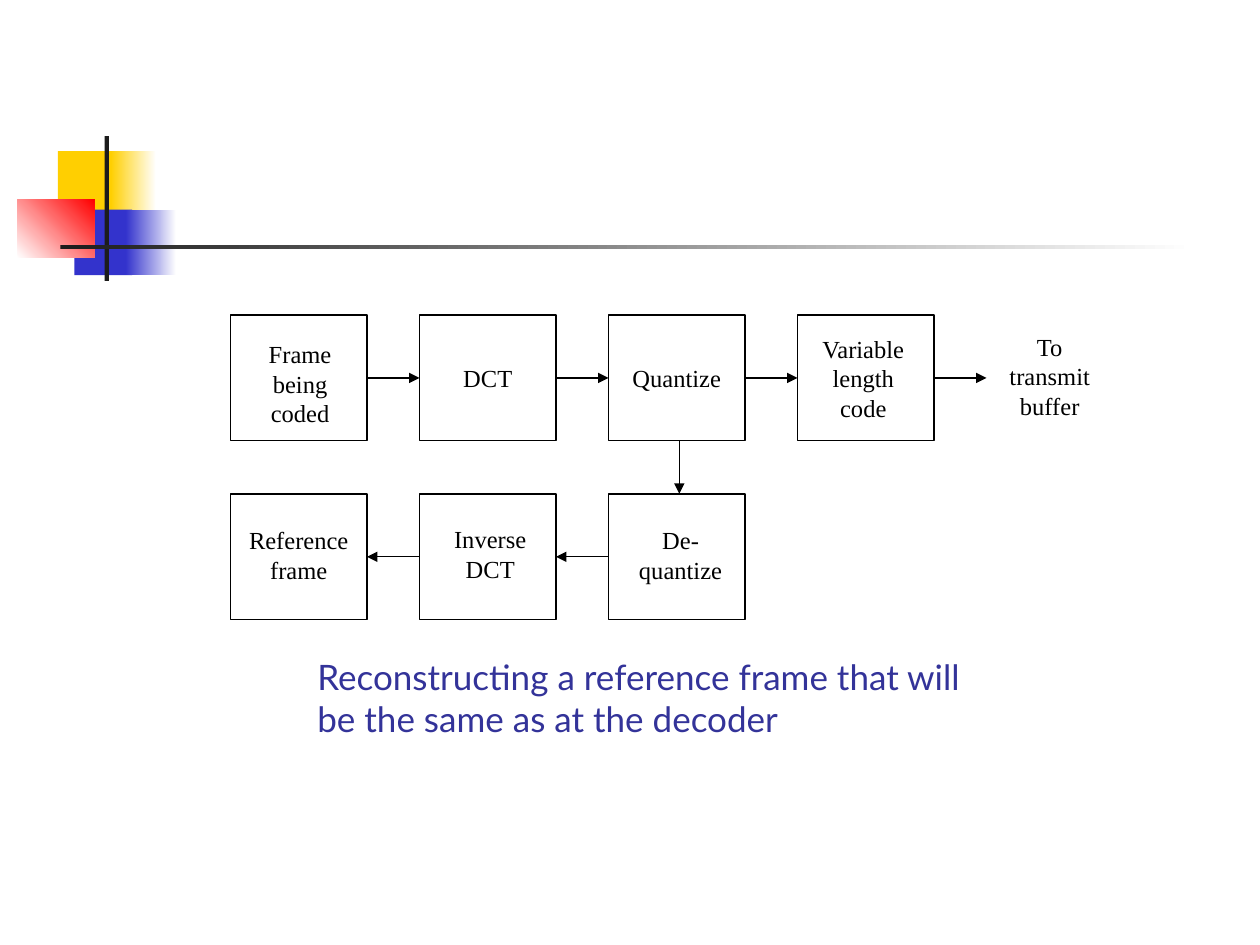
from pptx import Presentation
from pptx.dml.color import RGBColor
from pptx.enum.shapes import MSO_CONNECTOR as Link, MSO_SHAPE as Form
from pptx.enum.text import MSO_ANCHOR as Anchor, MSO_AUTO_SIZE as Fit, PP_ALIGN as Align
from pptx.oxml.ns import qn
from pptx.util import Inches, Pt
from lxml.etree import SubElement as sub

WHITE = RGBColor(0xFF, 0xFF, 0xFF)
BLACK = RGBColor(0, 0, 0)
INK = RGBColor(0x1C, 0x1C, 0x1C)
GOLD = RGBColor(0xFF, 0xCF, 0x01)
BLUE = RGBColor(0x33, 0x33, 0xCC)
RED = RGBColor(0xFF, 0, 0)
NAVY = RGBColor(0x33, 0x33, 0x99)


class Board:
    """Style and current slide; lengths are percent of the slide's size."""
    left, top = 18.3, 33.33
    wide, high = 10.83, 13.33
    step, drop = 15, 18.93
    font, size, rule = "Times New Roman", 14, 0.75

    def __init__(self, deck):
        self.deck = deck
        self.slide = deck.slides.add_slide(deck.slide_layouts[6])
        self.shapes = self.slide.shapes

    def scale(self, *nums):
        """Turn x, y, x, y ... percentages into lengths."""
        sides = (self.deck.slide_width, self.deck.slide_height)
        return [round(n * sides[i % 2] / 100) for i, n in enumerate(nums)]

    def mid(self, cell):
        """Centre of a (column, row) cell of the flow."""
        col, row = cell
        return (self.left + col * self.step + self.wide / 2,
                self.top + row * self.drop + self.high / 2)

    def rect(self, *area):
        shape = self.shapes.add_shape(Form.RECTANGLE, *self.scale(*area))
        shape.shadow.inherit = False
        return shape

    def block(self, area, color):
        shape = self.rect(*area)
        shape.fill.solid()
        shape.fill.fore_color.rgb = color
        shape.line.fill.background()

    def fade(self, area, start, end, angle=0):
        shape = self.rect(*area)
        shape.fill.gradient()
        shape.fill.gradient_angle = angle
        for stop, color in zip(shape.fill.gradient_stops, (start, end)):
            stop.color.rgb = color
        shape.line.fill.background()

    def box(self, cell):
        x, y = self.mid(cell)
        shape = self.rect(x - self.wide / 2, y - self.high / 2, self.wide, self.high)
        shape.fill.background()
        shape.line.color.rgb = BLACK
        shape.line.width = Pt(self.rule)

    def arrow(self, start, end, shift=0):
        """Link the facing edges of two cells."""
        (x1, y1), (x2, y2) = self.mid(start), self.mid(end)
        dx = (end[0] - start[0]) * self.wide / 2
        dy = (end[1] - start[1]) * self.high / 2
        ends = self.scale(x1 + dx + shift, y1 + dy, x2 - dx + shift, y2 - dy)
        line = self.shapes.add_connector(Link.STRAIGHT, *ends)
        line.line.color.rgb = BLACK
        line.line.width = Pt(self.rule)
        props = line._element.spPr
        sub(props.find(qn("a:ln")), qn("a:tailEnd"), type="triangle")
        sub(props, qn("a:effectLst"))

    def text(self, area, lines, font, size, color, align):
        frame = self.shapes.add_textbox(*self.scale(*area)).text_frame
        frame.text = "\n".join(lines)
        for par in frame.paragraphs:
            par.alignment = align
            par.font.name = font
            par.font.size = Pt(size)
            par.font.color.rgb = color
        return frame

    def label(self, cell, lines, wide, dx=0, dy=0):
        """Text centred on a cell, moved by dx and dy."""
        x, y = self.mid(cell)
        high = 1.5 + 3.06 * len(lines)
        area = (x - wide / 2 + dx, y - high / 2 + dy, wide, high)
        frame = self.text(area, lines, self.font, self.size, BLACK, Align.CENTER)
        frame.word_wrap = False
        frame.auto_size = Fit.SHAPE_TO_FIT_TEXT

    def title(self, area, words):
        frame = self.text(area, [words], "Lato", 20, NAVY, Align.LEFT)
        frame.word_wrap = True
        frame.vertical_anchor = Anchor.BOTTOM


LABELS = [
    ((0, 0), ["Frame", "being", "coded"], 7.2, 0.1, 0.6),
    ((1, 0), ["DCT"], 6.1),
    ((2, 0), ["Quantize"], 9.3),
    ((3, 0), ["Variable", "length", "code"], 8.9, -0.2),
    ((0, 1), ["Reference", "frame"], 10.1, 0, -0.2),
    ((1, 1), ["Inverse", "DCT"], 8, 0.2, -0.3),
    ((2, 1), ["De-", "quantize"], 8.8, 0.3, -0.2),
    ((4, 0), ["To", "transmit", "buffer"], 8.6, -0.4, -0.2),
]
ARROWS = [
    ((0, 0), (1, 0)), ((1, 0), (2, 0)), ((2, 0), (3, 0)), ((3, 0), (4, 0)),
    ((2, 0), (2, 1), 0.2), ((2, 1), (1, 1)), ((1, 1), (0, 1)),
]


def main():
    deck = Presentation()
    deck.slide_width, deck.slide_height = Inches(10), Inches(7.5)
    board = Board(deck)

    board.block((4.6, 16, 4.8, 6.93), GOLD)
    board.fade((8.8, 16, 3.6, 6.93), GOLD, WHITE)
    board.block((5.9, 22.2, 4.6, 6.93), BLUE)
    board.fade((10, 22.2, 4, 6.93), BLUE, WHITE)
    board.fade((1.4, 21.1, 6.1, 6.2), WHITE, RED, 45)
    board.block((8.3, 14.4, 0.35, 15.33), INK)
    board.fade((4.8, 25.95, 90, 0.45), INK, WHITE)

    board.title((24.2, 68.93, 55, 10),
                "Reconstructing a reference frame that will be the same as at the decoder")
    for cell, *_ in LABELS[:-1]:
        board.box(cell)
    for arrow in ARROWS:
        board.arrow(*arrow)
    for label in LABELS:
        board.label(*label)
    deck.save("out.pptx")


if __name__ == "__main__":
    main()
